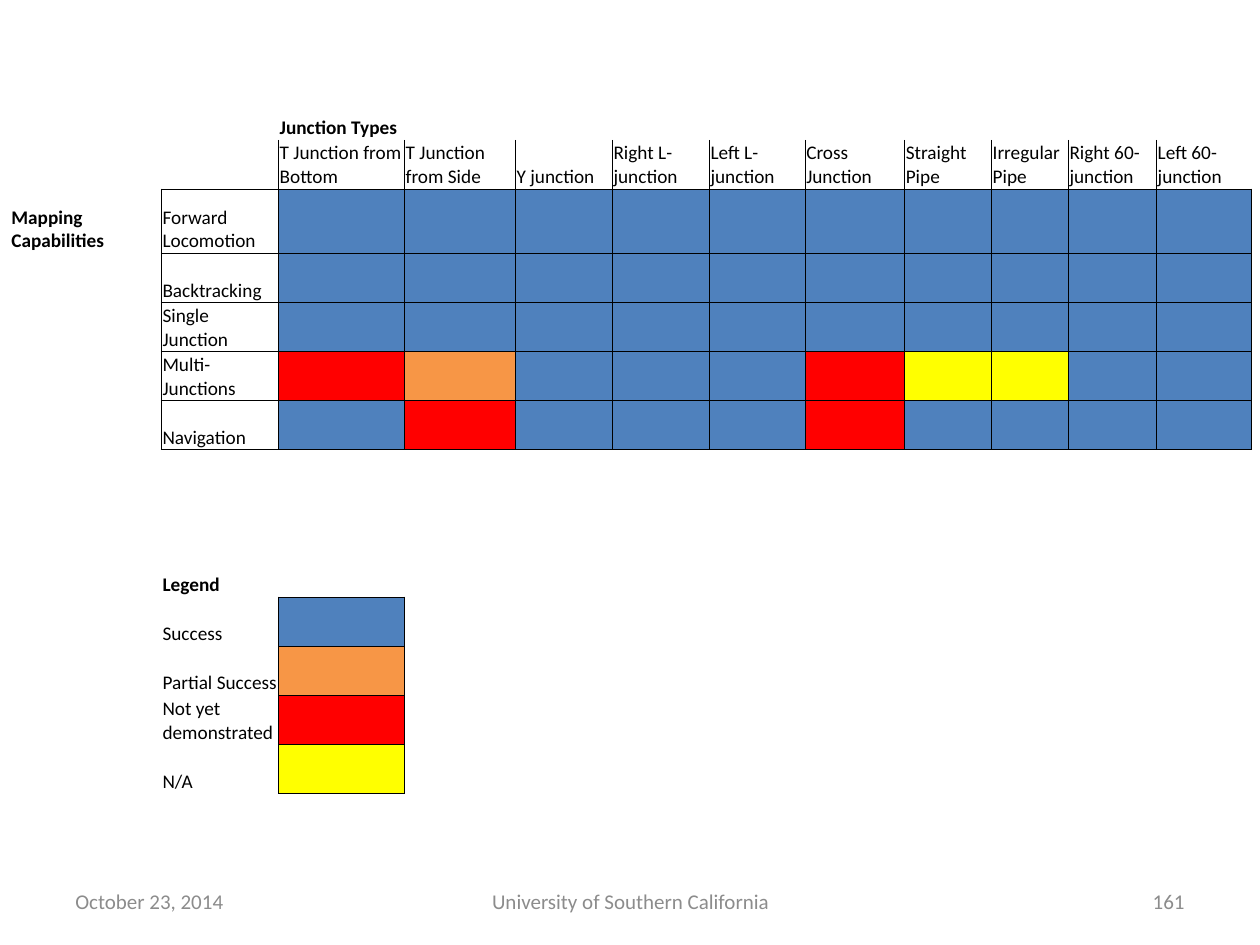
from lxml import etree
from pptx import Presentation
from pptx import util as u
from pptx.dml.color import RGBColor
from pptx.enum import text
from pptx.oxml import ns

HUES = {"black": "000000", "grey": "8C8C8C", "S": "4F81BD",
        "P": "F79646", "F": "FF0000", "N": "FFFF00"}
ALIGN = text.PP_ALIGN
PLAIN = "{2D5ABB26-0587-4C30-8999-92F81FD0307C}"  # table style without grid


def write(frame, words, size=11, hue="black", bold=False, align=ALIGN.LEFT):
    para = frame.paragraphs[0]
    para.alignment = align
    run = para.add_run()
    run.text = words
    run.font.name = "Calibri"
    run.font.size = u.Pt(size)
    run.font.bold = bold
    run.font.color.rgb = RGBColor.from_string(HUES[hue])


def edge(cell, sides):
    """Draw thin black borders on the given sides, in L, R, T, B order."""
    props = cell._tc.get_or_add_tcPr()
    for side in sides:
        line = etree.SubElement(props, ns.qn("a:ln" + side), w=str(u.Pt(0.5)))
        fill = etree.SubElement(line, ns.qn("a:solidFill"))
        etree.SubElement(fill, ns.qn("a:srgbClr"), val=HUES["black"])


deck = Presentation()
deck.slide_width, deck.slide_height = u.Inches(10), u.Inches(7.5)
slide = deck.slides.add_slide(deck.slide_layouts[6])

# Footer
for left, width, words, align in [
    (0.5, 2.33, "October 23, 2014", ALIGN.LEFT),
    (3.42, 3.17, "University of Southern California", ALIGN.CENTER),
    (7.17, 2.33, "161", ALIGN.RIGHT),
]:
    box = slide.shapes.add_textbox(
        u.Inches(left), u.Inches(6.95), u.Inches(width), u.Inches(0.4))
    box.text_frame.word_wrap = True
    box.text_frame.vertical_anchor = text.MSO_ANCHOR.MIDDLE
    write(box.text_frame, words, size=12, hue="grey", align=align)

# Results by junction type: one letter per cell, keyed to HUES
types = ["T Junction from Bottom", "T Junction from Side", "Y junction",
         "Right L-junction", "Left L-junction", "Cross Junction",
         "Straight Pipe", "Irregular Pipe", "Right 60-junction",
         "Left 60-junction"]
results = [("Forward Locomotion", "SSSSSSSSSS"),
           ("Backtracking", "SSSSSSSSSS"),
           ("Single Junction", "SSSSSSSSSS"),
           ("Multi-Junctions", "FPSSSFNNSS"),
           ("Navigation", "SFSSSFSSSS")]
legend = [("Success", "S"), ("Partial Success", "P"),
          ("Not yet demonstrated", "F"), ("N/A", "N")]
widths = [1.2, 0.93, 1, 0.88, 0.77, 0.77, 0.76, 0.79, 0.69, 0.61, 0.7, 0.75]
heights = [0.51, 0.39, 0.51] + [0.39] * 11

table = slide.shapes.add_table(
    len(heights), len(widths), u.Inches(0.08), u.Inches(0.6),
    u.Inches(sum(widths)), u.Inches(sum(heights))).table
table.first_row = table.horz_banding = False
table._tbl.tblPr.find(ns.qn("a:tableStyleId")).text = PLAIN
for col, width in zip(table.columns, widths):
    col.width = u.Inches(width)
for row, height in zip(table.rows, heights):
    row.height = u.Inches(height)
for cell in table.iter_cells():
    cell.margin_left = cell.margin_right = cell.margin_top = u.Inches(0.01)
    cell.margin_bottom = 0
    cell.vertical_anchor = text.MSO_ANCHOR.BOTTOM

for row, col, words in [(0, 2, "Junction Types"),
                        (2, 0, "Mapping Capabilities"), (9, 1, "Legend")]:
    write(table.cell(row, col).text_frame, words, bold=True)

for col, words in enumerate(types, 2):
    cell = table.cell(1, col)
    write(cell.text_frame, words)
    edge(cell, "LB" if words == types[-1] else "LRB")

for first, group in [(2, results), (10, legend)]:
    for row, (words, marks) in enumerate(group, first):
        label = table.cell(row, 1)
        write(label.text_frame, words)
        edge(label, "LRTB" if group is results else "R")
        for col, mark in enumerate(marks, 2):
            cell = table.cell(row, col)
            edge(cell, "LRTB")
            cell.fill.solid()
            cell.fill.fore_color.rgb = RGBColor.from_string(HUES[mark])

for cell in table.iter_cells():
    if cell.fill.type is None:
        cell.fill.background()

deck.save("out.pptx")
